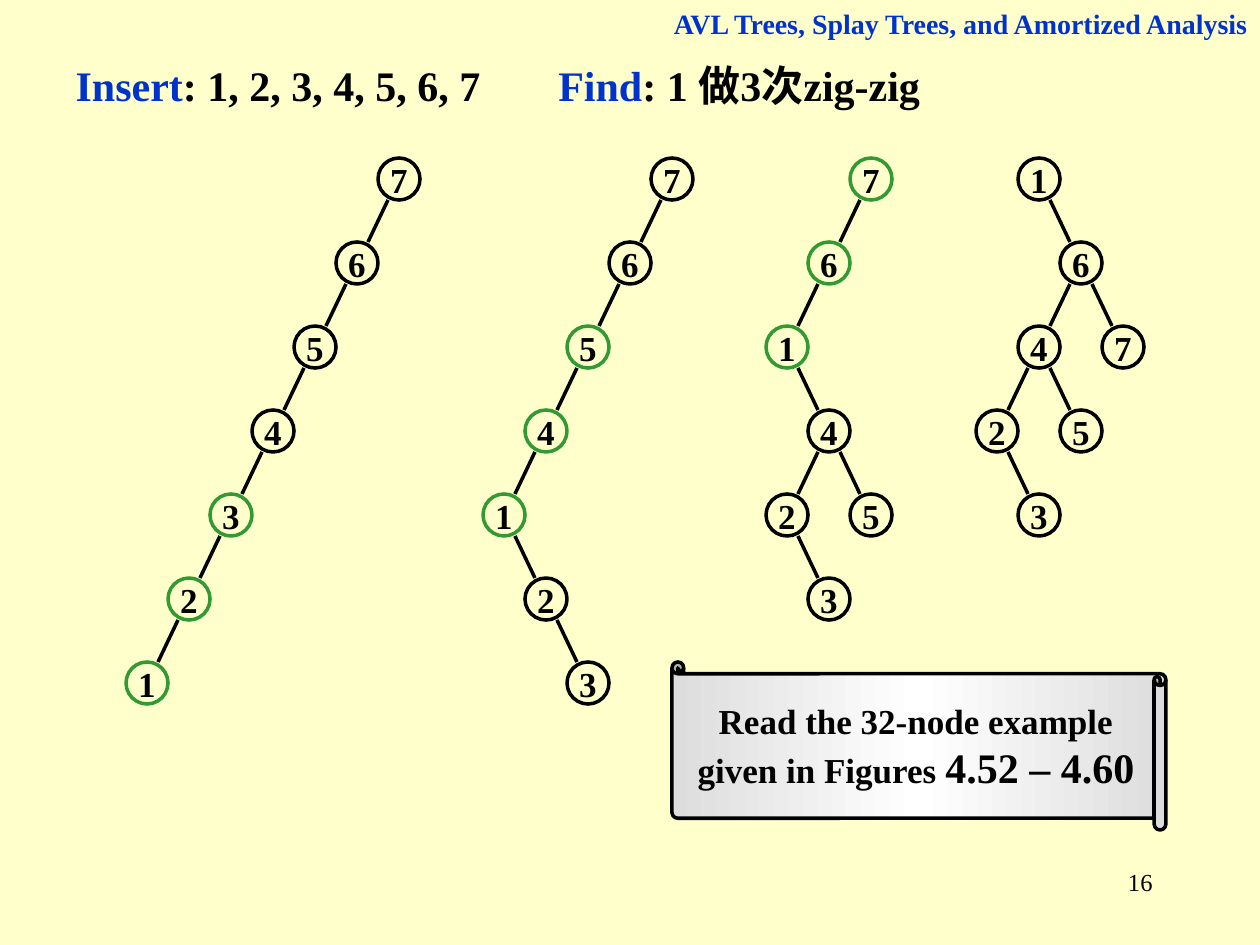
"""Build the slide on inserting keys into a splay tree and finding one."""
from copy import deepcopy

from lxml.etree import SubElement
from pptx import Presentation
from pptx.dml.color import RGBColor
from pptx.enum.shapes import MSO_CONNECTOR as Connector, MSO_SHAPE as Shape
from pptx.enum.text import MSO_ANCHOR as Anchor, MSO_AUTO_SIZE as AutoSize, PP_ALIGN as Align
from pptx.oxml.ns import qn
from pptx.util import Emu, Pt

FONT = "Times New Roman"
BLACK, BLUE, GREEN = "000000", "0033CC", "339933"
PAPER, SILVER, WHITE = "FFFFCC", "DDDDDD", "FFFFFF"
NODE, STEP_X, STEP_Y, ROOT_TOP = 42, 42, 84, 158
INSET = NODE // 4

INSERT = [("Insert", 24, BLUE), (": 1, 2, 3, 4, 5, 6, 7", 24, BLACK)]
FIND = [("Find", 24, BLUE), (": 1 做3次zig-zig", 24, BLACK)]
HEADER = [("AVL Trees, Splay Trees, and Amortized Analysis", 16, BLUE)]
NOTE = [("Read the 32-node example given in Figures ", 20, BLACK), ("4.52 – 4.60", 24, BLACK)]
NUMBER = [("16", 14, BLACK)]

# Each tree: left of the root, keys in the zig-zig, root as (key, left child, right child)
TREES = [
    (378, {1, 2, 3},
     (7, (6, (5, (4, (3, (2, (1, None, None), None), None), None), None), None), None)),
    (651, {1, 4, 5},
     (7, (6, (5, (4, (1, None, (2, None, (3, None, None))), None), None), None), None)),
    (850, {1, 6, 7},
     (7, (6, (1, None, (4, (2, None, (3, None, None)), (5, None, None))), None), None)),
    (1018, set(),
     (1, None, (6, (4, (2, None, (3, None, None)), (5, None, None)), (7, None, None)))),
]


def px(*lengths):
    return [Emu(round(length * 914400 / 126)) for length in lengths]


def color(value):
    return RGBColor.from_string(value)


def write(box, spans, align, anchor=Anchor.TOP, wrap=True, bold=True):
    frame = box.text_frame
    frame.auto_size = AutoSize.NONE
    frame.word_wrap = wrap
    frame.vertical_anchor = anchor
    para = frame.paragraphs[0]
    para.alignment = align
    for text, size, ink in spans:
        span = para.add_run()
        span.text = text
        span.font.name, span.font.size, span.font.bold = FONT, Pt(size), bold
        span.font.color.rgb = color(ink)


def outline(shape, ink):
    shape.line.color.rgb = color(ink)
    shape.line.width = Pt(2)


def add_edge(group, left, top, side):
    start = left + NODE / 2 + side * (NODE / 2 - INSET)
    end = left + NODE / 2 + side * (STEP_X - NODE / 2 + INSET)
    edge = group.shapes.add_connector(
        Connector.STRAIGHT, *px(start, top + NODE, end, top + STEP_Y))
    outline(edge, BLACK)
    SubElement(edge._element.spPr, qn("a:effectLst"))


def add_tree(group, tree, left, top, marked):
    key, *children = tree
    node = group.shapes.add_shape(Shape.OVAL, *px(left, top, NODE, NODE))
    node.shadow.inherit = False
    node.fill.background()
    outline(node, GREEN if key in marked else BLACK)
    write(node, [(str(key), 20, BLACK)], Align.CENTER, Anchor.MIDDLE, wrap=False)
    for side, child in zip((-1, 1), children):
        if child:
            add_edge(group, left, top, side)
            add_tree(group, child, left + side * STEP_X, top + STEP_Y, marked)


def add_scroll(page):
    scroll = page.shapes.add_shape(Shape.HORIZONTAL_SCROLL, *px(672, 662, 494, 168))
    scroll.adjustments[0] = 0.07
    scroll.shadow.inherit = False
    scroll._element.spPr.xfrm.set("flipH", "1")
    scroll.fill.gradient()
    scroll.fill.gradient_angle = 0
    stops = scroll._element.spPr.find(qn("a:gradFill")).find(qn("a:gsLst"))
    stops.append(deepcopy(stops[-1]))
    for stop, place, ink in zip(scroll.fill.gradient_stops, (0, 0.5, 1), (SILVER, WHITE, SILVER)):
        stop.position = place
        stop.color.rgb = color(ink)
    outline(scroll, BLACK)
    write(scroll, NOTE, Align.CENTER, Anchor.MIDDLE)


def main():
    deck = Presentation()
    deck.slide_width, deck.slide_height = px(1260, 945)
    page = deck.slides.add_slide(deck.slide_layouts[5])
    page.background.fill.solid()
    page.background.fill.fore_color.rgb = color(PAPER)

    title = page.shapes.title
    title.left, title.top, title.width, title.height = px(63, 53, 514, 63)
    write(title, INSERT, Align.LEFT)
    write(page.shapes.add_textbox(*px(546, 53, 630, 63)), FIND, Align.LEFT)
    write(page.shapes.add_textbox(*px(620, 0, 640, 47)), HEADER, Align.RIGHT)
    write(page.shapes.add_textbox(*px(903, 861, 262, 63)), NUMBER, Align.RIGHT, bold=False)

    for left, marked, tree in TREES:
        add_tree(page.shapes.add_group_shape(), tree, left, ROOT_TOP, marked)
    add_scroll(page)
    deck.save("out.pptx")


if __name__ == "__main__":
    main()
